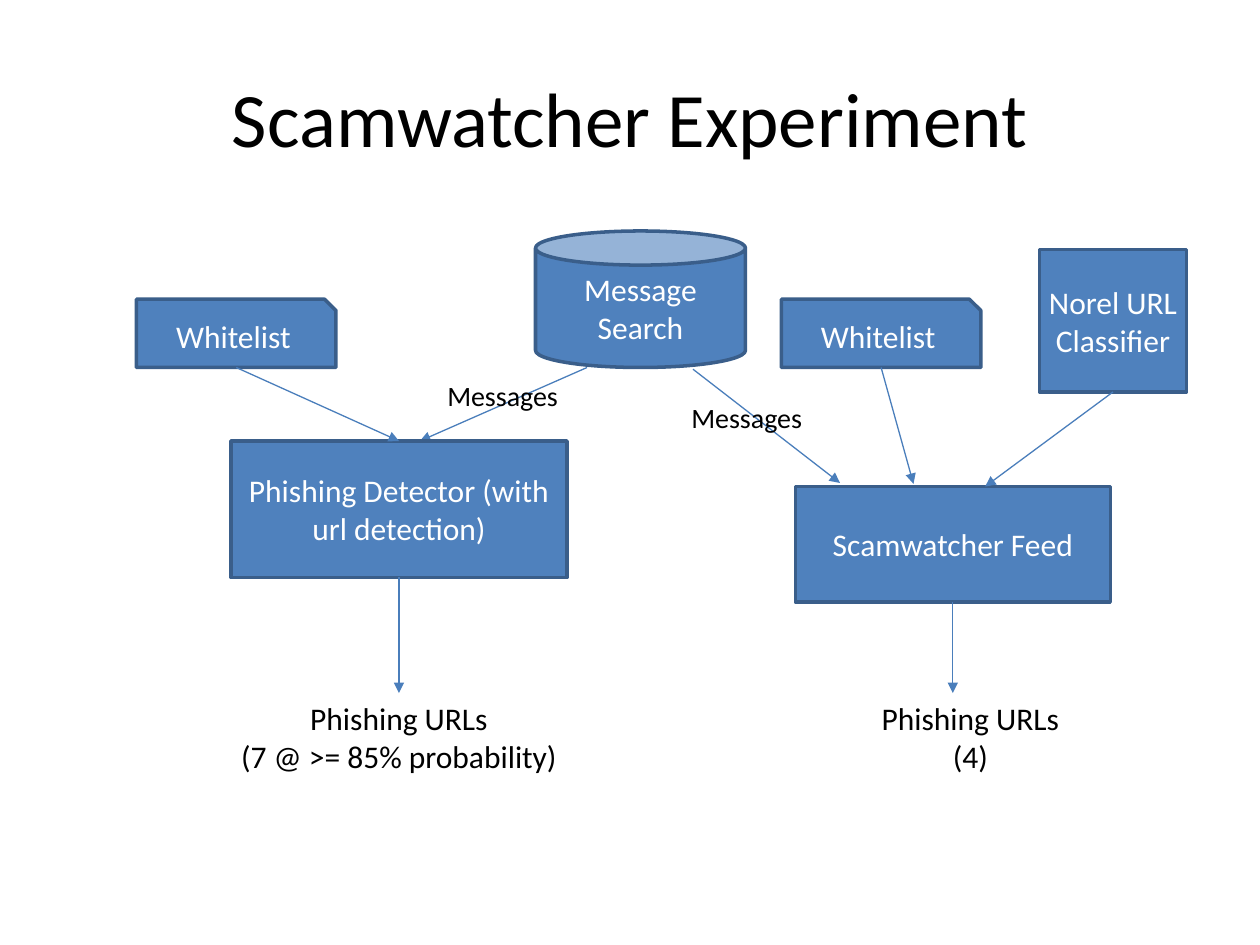
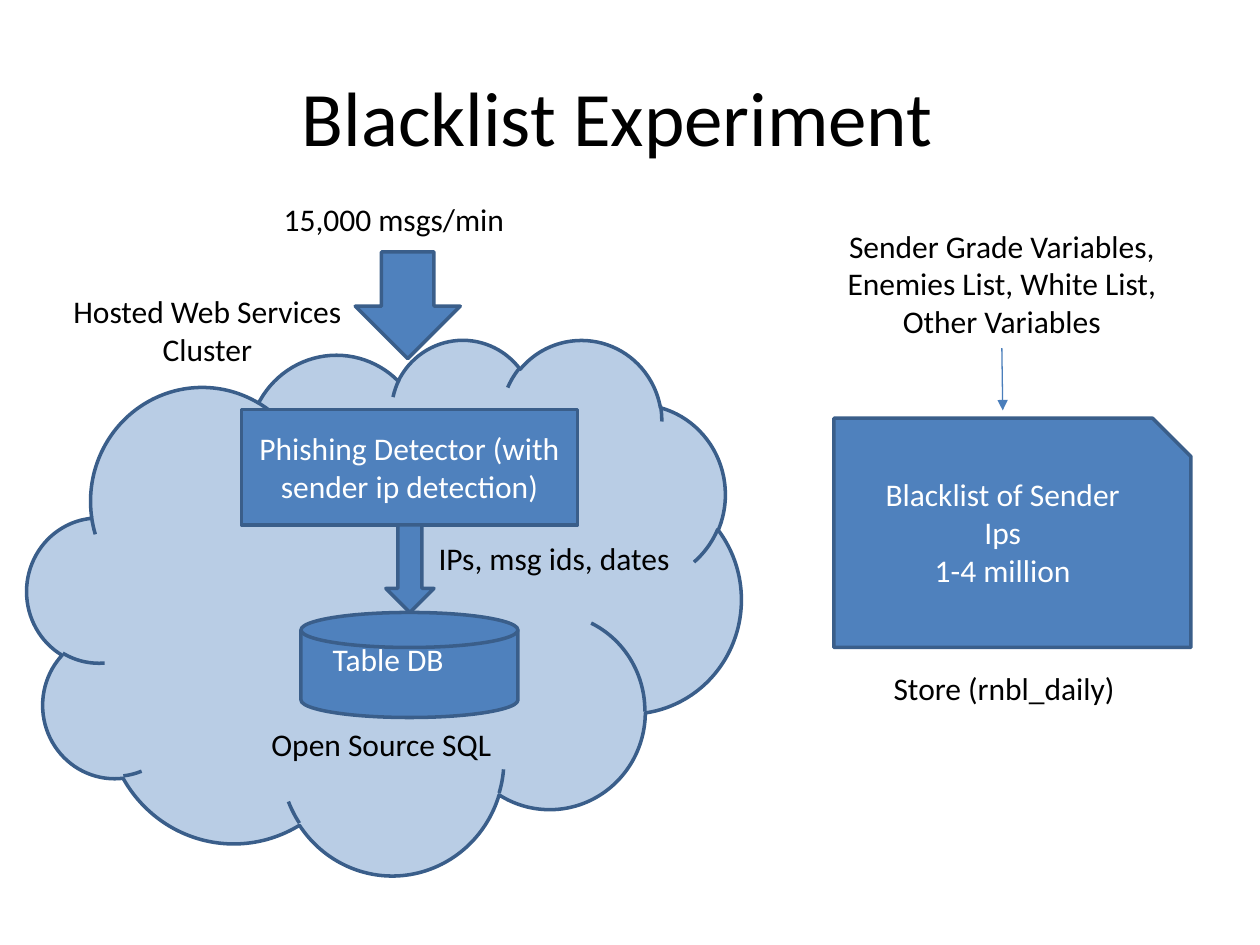
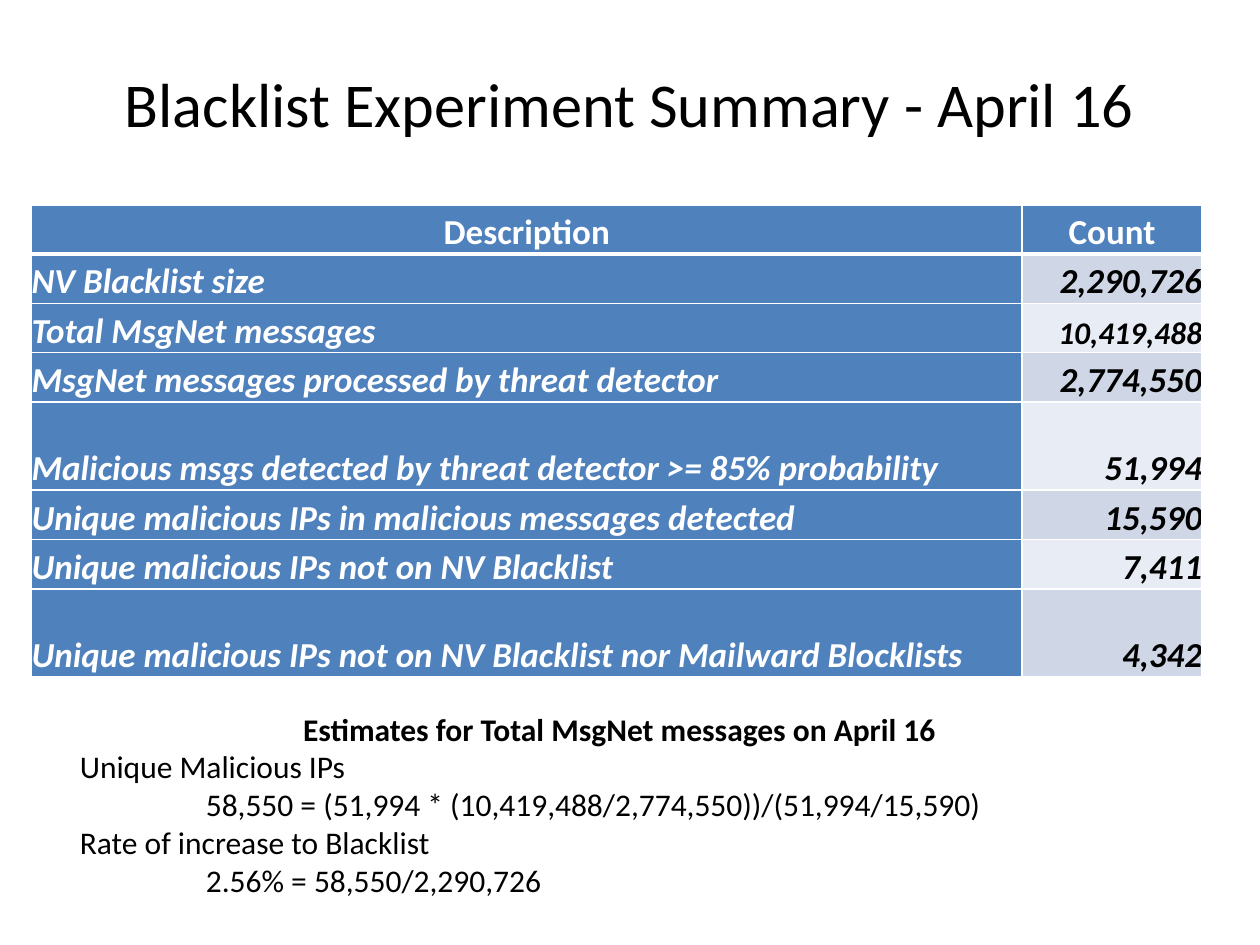
import pptx
import pptx.dml.color
import pptx.enum.shapes
import pptx.enum.text
import pptx.oxml
import pptx.oxml.ns
import pptx.util

Pt = pptx.util.Pt
RGBColor = pptx.dml.color.RGBColor
SHAPE = pptx.enum.shapes.MSO_SHAPE
ALIGN = pptx.enum.text.PP_ALIGN
ANCHOR = pptx.enum.text.MSO_ANCHOR
qn = pptx.oxml.ns.qn

FONT = "Calibri"
BLACK = RGBColor(0x00, 0x00, 0x00)
WHITE = RGBColor(0xFF, 0xFF, 0xFF)
BLUE = RGBColor(0x4F, 0x81, 0xBD)
OUTLINE = RGBColor(0x3A, 0x5E, 0x8A)
ARROW = RGBColor(0x4A, 0x7E, 0xBB)
CLOUD = RGBColor(0xB9, 0xCD, 0xE5)
BANDS = (RGBColor(0xCF, 0xD7, 0xE7), RGBColor(0xE8, 0xEC, 0xF4))
INSET = 3.6
WHITELIST_W, WHITELIST_H = 114, 39

SUMMARY = [
    ("NV Blacklist size", "2,290,726"),
    ("Total MsgNet messages", "10,419,488"),
    ("MsgNet messages processed by threat detector", "2,774,550"),
    ("Malicious msgs detected by threat detector >= 85% probability", "51,994"),
    ("Unique malicious IPs in malicious messages detected", "15,590"),
    ("Unique malicious IPs not on NV Blacklist", "7,411"),
    ("Unique malicious IPs not on NV Blacklist nor Mailward Blocklists", "4,342"),
]
TALL_ROWS = (4, 7)
SMALL_COUNT_ROW = 2


def write(shape, lines, color, size=18, align=ALIGN.CENTER, anchor=ANCHOR.TOP):
    """Fill a shape with one paragraph per line of text."""
    tf = shape.text_frame
    tf.word_wrap = True
    tf.vertical_anchor = anchor
    tf.margin_left = tf.margin_right = tf.margin_top = tf.margin_bottom = Pt(INSET)
    tf.text = lines
    for p in tf.paragraphs:
        p.alignment = align
        p.font.name = FONT
        p.font.size = Pt(size)
        p.font.color.rgb = color
    return tf


def new_slide(prs, title, left=36, top=21.5, height=90, size=44):
    s = prs.slides.add_slide(prs.slide_layouts[5])
    sp = s.shapes.title
    sp.left, sp.top, sp.width, sp.height = Pt(left), Pt(top), Pt(648), Pt(height)
    write(sp, title, BLACK, size, anchor=ANCHOR.MIDDLE)
    return s


def block(s, kind, x, y, w, h, text="", fill=BLUE):
    sp = s.shapes.add_shape(kind, Pt(x), Pt(y), Pt(w), Pt(h))
    sp.shadow.inherit = False
    sp.fill.solid()
    sp.fill.fore_color.rgb = fill
    sp.line.color.rgb = OUTLINE
    sp.line.width = Pt(2)
    if text:
        write(sp, text, WHITE, anchor=ANCHOR.MIDDLE)
    return sp


def label(s, x, y, w, h, text, color=BLACK, size=18, align=ALIGN.LEFT):
    sp = s.shapes.add_textbox(Pt(x), Pt(y), Pt(w), Pt(h))
    return write(sp, text, color, size, align)


def arrow(s, x1, y1, x2, y2, begin=None, end=None):
    """Draw an arrow; begin and end are optional (shape, side) joints."""
    c = s.shapes.add_connector(pptx.enum.shapes.MSO_CONNECTOR.STRAIGHT,
                               Pt(x1), Pt(y1), Pt(x2), Pt(y2))
    if begin:
        c.begin_connect(*begin)
    if end:
        c.end_connect(*end)
    c.line.color.rgb = ARROW
    c.line.width = Pt(0.75)
    c.line._get_or_add_ln().append(pptx.oxml.parse_xml(
        '<a:tailEnd xmlns:a="http://schemas.openxmlformats.org/drawingml/2006/main"'
        ' type="triangle"/>'))
    c._element.spPr.append(pptx.oxml.parse_xml(
        '<a:effectLst xmlns:a="http://schemas.openxmlformats.org/drawingml/2006/main"/>'))


def branch(s, x, y, process_text, process_box, result_text, result_box):
    """Place a whitelist at (x, y), the process it feeds and the result below it."""
    block(s, SHAPE.SNIP_1_RECTANGLE, x, y, WHITELIST_W, WHITELIST_H, "Whitelist")
    dx, dy, w, h = process_box
    process = block(s, SHAPE.RECTANGLE, x + dx, y + dy, w, h, process_text)
    rx, ry, rw, rh = result_box
    label(s, x + rx, y + ry, rw, rh, result_text, align=ALIGN.CENTER)
    middle = x + dx + w / 2
    arrow(s, middle, y + dy + h, middle, y + ry, begin=(process, 2))
    return process


def detector_branch(s, x, y):
    detector = branch(s, x, y, "Phishing Detector (with url detection)", (54, 81, 192, 78),
                      "Phishing URLs\n(7 @ >= 85% probability)", (54, 225, 192, 70))
    arrow(s, x + WHITELIST_W / 2, y + WHITELIST_H, x + 150, y + 81, end=(detector, 0))


def feed_branch(s, x, y):
    branch(s, x, y, "Scamwatcher Feed", (8, 107, 180, 66),
           "Phishing URLs\n(4)", (36, 225, 144, 49))
    classifier = block(s, SHAPE.RECTANGLE, x + 147.5, y - 28.5, 84, 81.5,
                       "Norel URL Classifier")
    arrow(s, x + 189.5, y + 53, x + 116.5, y + 107, begin=(classifier, 2))
    arrow(s, x + WHITELIST_W / 2, y + WHITELIST_H, x + 75.5, y + 105.5)


def message_store(s, x, y):
    block(s, SHAPE.CAN, x, y, 120, 78, "Message Search")
    arrow(s, x + 29.5, y + 78, x - 66, y + 120)
    arrow(s, x + 90, y + 79, x + 174, y + 144)
    for dx, dy in ((-54, 80.5), (85.5, 93.5)):
        label(s, x + dx, y + dy, 83.5, 26, "Messages", size=16)


def cluster(s, x, y):
    """Place the cloud at (x, y) with the message flow that runs through it."""
    block(s, SHAPE.CLOUD, x, y, 408, 306, fill=CLOUD)
    block(s, SHAPE.DOWN_ARROW, x + 187.5, y - 49.5, 60, 61)
    label(s, x + 143, y - 82.5, 145.5, 28, "15,000 msgs/min")
    label(s, x - 17, y - 30, 240, 49, "Hosted Web Services\nCluster", align=ALIGN.CENTER)
    block(s, SHAPE.RECTANGLE, x + 122.5, y + 40.5, 192, 66,
          "Phishing Detector (with sender ip detection)")
    block(s, SHAPE.DOWN_ARROW, x + 205, y + 106.5, 27.5, 50)
    label(s, x + 231.5, y + 111, 155, 49, "IPs, msg ids, dates")
    block(s, SHAPE.FLOWCHART_MAGNETIC_DISK, x + 156.5, y + 156.5, 124, 60)
    label(s, x + 171, y + 168.5, 96, 28, "Table DB", WHITE)
    label(s, x + 136, y + 217, 174, 28, "Open Source SQL")


def blacklist(s, x, y):
    block(s, SHAPE.SNIP_1_RECTANGLE, x, y, 204, 131)
    label(s, x + 24.5, y + 29, 144, 70.5, "Blacklist of Sender Ips\n1-4 million",
          WHITE, align=ALIGN.CENTER)
    label(s, x + 30.5, y + 140, 162, 28, "Store (rnbl_daily)")
    label(s, x, y - 113, 192, 91.5,
          "Sender Grade Variables, Enemies List, White List, Other Variables",
          align=ALIGN.CENTER)
    arrow(s, x + 96, y - 40, x + 96.5, y - 4.5)


def border(cell, side, width):
    cell._tc.get_or_add_tcPr().append(pptx.oxml.parse_xml(
        f'<a:{side} xmlns:a="http://schemas.openxmlformats.org/drawingml/2006/main"'
        f' w="{Pt(width)}"><a:solidFill><a:srgbClr val="{WHITE}"/></a:solidFill></a:{side}>'))


def fill_cell(cell, text, row, is_count):
    header = row == 0
    cell.margin_left = cell.margin_right = cell.margin_top = cell.margin_bottom = 0
    cell.vertical_anchor = ANCHOR.BOTTOM
    for side in ("lnL", "lnR", "lnT", "lnB"):
        thick = (row, side) in ((0, "lnB"), (1, "lnT"))
        border(cell, side, 3 if thick else 1)
    on_band = is_count and not header
    cell.fill.solid()
    cell.fill.fore_color.rgb = BANDS[(row - 1) % 2] if on_band else BLUE
    cell.text = text
    p = cell.text_frame.paragraphs[0]
    p.line_spacing = 1.15
    p.alignment = ALIGN.CENTER if header else ALIGN.RIGHT if is_count else ALIGN.LEFT
    p.font.name = FONT
    p.font.size = Pt(18 if is_count and row == SMALL_COUNT_ROW else 20)
    p.font.bold = True
    p.font.italic = not header
    p.font.color.rgb = BLACK if on_band else WHITE


def summary_table(s, x, y):
    rows = [("Description", "Count")] + SUMMARY
    table = s.shapes.add_table(len(rows), 2, Pt(x), Pt(y), Pt(669), Pt(270)).table
    for column, width in zip(table.columns, (566, 103)):
        column.width = Pt(width)
    for i, texts in enumerate(rows):
        table.rows[i].height = Pt(50.4 if i in TALL_ROWS else 28.2)
        for j, text in enumerate(texts):
            fill_cell(table.cell(i, j), text, i, j == 1)


def estimates(s, x, y):
    tf = label(s, x, y, 624, 133,
               "Estimates for Total MsgNet messages on April 16\n"
               "Unique Malicious IPs\n"
               "58,550 = (51,994 * (10,419,488/2,774,550))/(51,994/15,590)\n"
               "Rate of increase to Blacklist\n"
               "2.56% = 58,550/2,290,726")
    heading, *_ = tf.paragraphs
    heading.alignment = ALIGN.CENTER
    heading.font.bold = True
    for p in tf.paragraphs[2::2]:
        p._p.get_or_add_pPr().set("marL", str(Pt(72)))


def main():
    prs = pptx.Presentation()
    prs.slide_width, prs.slide_height = Pt(720), Pt(540)

    s = new_slide(prs, "Scamwatcher Experiment")
    message_store(s, 306, 132)
    detector_branch(s, 78, 171)
    feed_branch(s, 446.5, 171)

    s = new_slide(prs, "Blacklist Experiment", left=29, top=21)
    cluster(s, 15.5, 193.5)
    blacklist(s, 476.5, 239)

    s = new_slide(prs, "Blacklist Experiment Summary - April 16", height=74, size=35.6)
    summary_table(s, 18, 117)
    estimates(s, 42, 402)

    prs.save("out.pptx")


if __name__ == "__main__":
    main()
